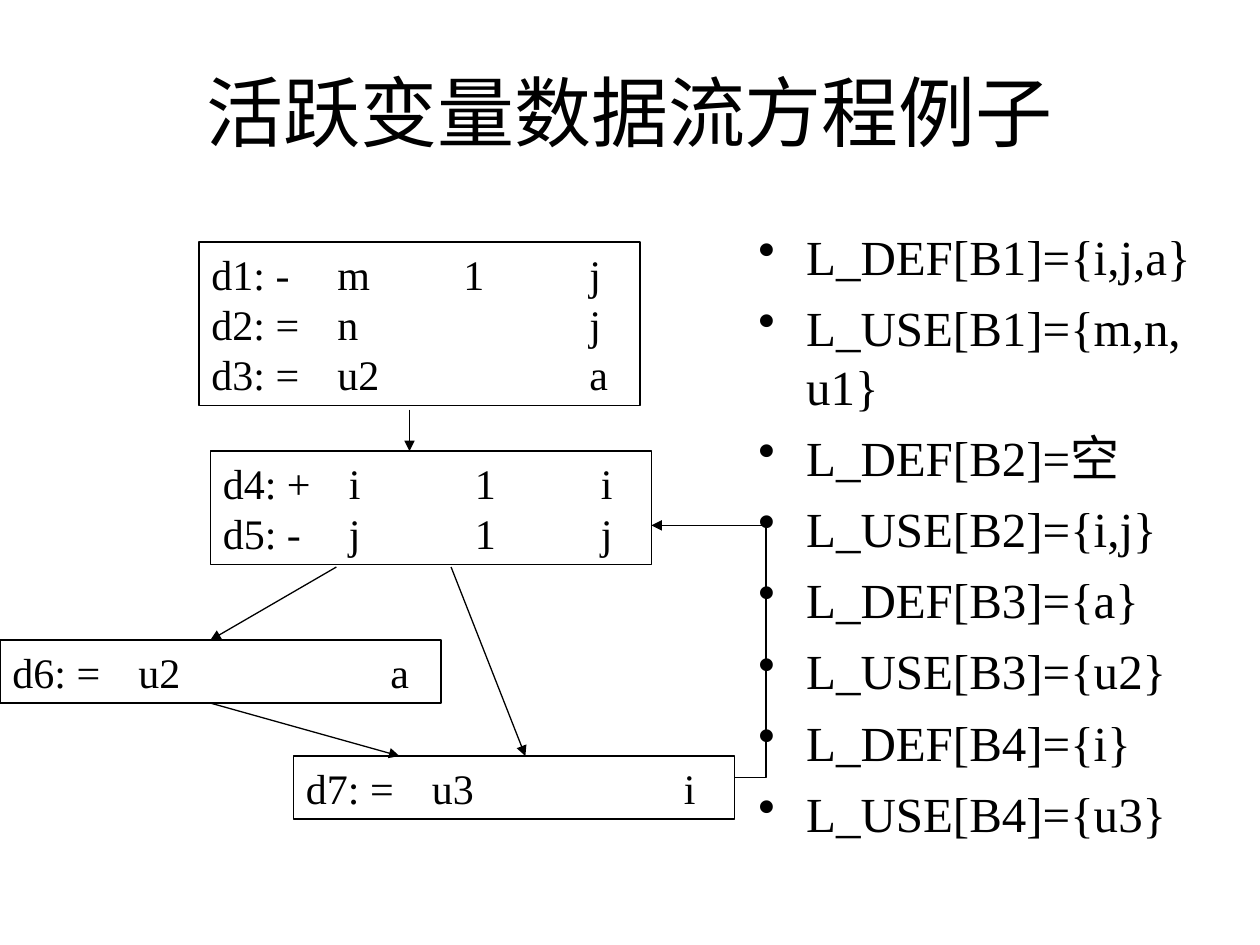
from collections import namedtuple
from dataclasses import dataclass

from lxml.etree import SubElement
from pptx import Presentation
from pptx.dml.color import RGBColor
from pptx.enum.shapes import MSO_CONNECTOR, MSO_SHAPE
from pptx.enum.text import MSO_ANCHOR, PP_ALIGN
from pptx.oxml.ns import qn
from pptx.util import Inches, Pt

Box = namedtuple("Box", "left top width height")


@dataclass(frozen=True)
class Theme:
    font: str = "Times New Roman"
    ink: RGBColor = RGBColor(0, 0, 0)
    title: Pt = Pt(44)
    bullet: Pt = Pt(28)
    code: Pt = Pt(24)
    gap: Pt = Pt(7)
    rule: Pt = Pt(0.75)


THEME = Theme()
TITLE = "活跃变量数据流方程例子"
BLOCKS = [
    (Box(1.58, 0, 3.5, 1.3), ["d1: -\tm\t1\tj", "d2: =\tn\t\tj", "d3: =\tu2\t\ta"]),
    (Box(1.67, 1.66, 3.5, 0.9), ["d4: +\ti\t1\ti", "d5: -\tj\t1\tj"]),
    (Box(0, 3.16, 3.5, 0.5), ["d6: =\tu2\t\ta"]),
    (Box(2.33, 4.08, 3.5, 0.5), ["d7: =\tu3\t\ti"]),
]
EDGES = [
    ((3.25, 1.33), (3.25, 1.66)),
    ((2.67, 2.58), (1.67, 3.16)),
    ((3.58, 2.58), (4.17, 4.08)),
    ((1.67, 3.66), (3.17, 4.08)),
]
LOOP_BACK = [(5.83, 4.25), (6.08, 4.25), (6.08, 2.25), (5.17, 2.25)]
SETS = [
    "L_DEF[B1]={i,j,a}",
    "L_USE[B1]={m,n, u1}",
    "L_DEF[B2]=空",
    "L_USE[B2]={i,j}",
    "L_DEF[B3]={a}",
    "L_USE[B3]={u2}",
    "L_DEF[B4]={i}",
    "L_USE[B4]={u3}",
]


def apply(target, formats):
    for name, value in formats.items():
        setattr(target, name, value)


def place(box):
    return [Inches(length) for length in box]


def add_bullet(paragraph):
    properties = paragraph._p.get_or_add_pPr()
    properties.set("marL", str(Inches(0.38)))
    properties.set("indent", str(-Inches(0.38)))
    SubElement(properties, qn("a:buChar"), char="•")


def add_tabs(paragraph):
    stops = SubElement(paragraph._p.get_or_add_pPr(), qn("a:tabLst"))
    for inch in range(1, 8):
        SubElement(stops, qn("a:tab"), pos=str(Inches(inch)), algn="l")


def write(frame, lines, size, anchor=MSO_ANCHOR.TOP, align=PP_ALIGN.LEFT, prepare=None, gap=Pt(0)):
    apply(frame, {"word_wrap": True, "vertical_anchor": anchor})
    for index, line in enumerate(lines):
        paragraph = frame.add_paragraph() if index else frame.paragraphs[0]
        if prepare:
            prepare(paragraph)
        apply(paragraph, {"alignment": align, "space_before": gap if index else Pt(0)})
        run = paragraph.add_run()
        run.text = line
        apply(run.font, {"name": THEME.font, "size": size})
        run.font.color.rgb = THEME.ink


def draw_line(shape, arrow=False):
    shape.line.color.rgb = THEME.ink
    shape.line.width = THEME.rule
    if arrow:
        SubElement(shape.line._get_or_add_ln(), qn("a:tailEnd"), type="triangle")


def add_title(slide, box):
    heading = slide.shapes.add_textbox(*place(box))
    write(heading.text_frame, [TITLE], THEME.title, MSO_ANCHOR.MIDDLE, PP_ALIGN.CENTER)


def add_sets(slide, box):
    sets = slide.shapes.add_textbox(*place(box))
    write(sets.text_frame, SETS, THEME.bullet, prepare=add_bullet, gap=THEME.gap)


def add_flow_graph(slide, box):
    def locate(point):
        return Inches(box.left + point[0]), Inches(box.top + point[1])

    for area, code in BLOCKS:
        block = slide.shapes.add_shape(
            MSO_SHAPE.RECTANGLE, *locate(area[:2]), *place(area[2:])
        )
        block.shadow.inherit = False
        block.fill.background()
        draw_line(block)
        write(block.text_frame, code, THEME.code, prepare=add_tabs)

    for start, end in EDGES:
        edge = slide.shapes.add_connector(MSO_CONNECTOR.STRAIGHT, *locate(start), *locate(end))
        draw_line(edge, arrow=True)
        SubElement(edge._element.spPr, qn("a:effectLst"))

    outline = slide.shapes.build_freeform(*locate(LOOP_BACK[0]))
    outline.add_line_segments([locate(point) for point in LOOP_BACK[1:]], close=False)
    loop_back = outline.convert_to_shape()
    loop_back.shadow.inherit = False
    loop_back.fill.background()
    draw_line(loop_back, arrow=True)


def main():
    deck = Presentation()
    apply(deck, {"slide_width": Inches(10), "slide_height": Inches(7.5)})
    slide = deck.slides.add_slide(deck.slide_layouts[6])
    add_title(slide, Box(0.75, 0.25, 8.5, 1.25))
    add_sets(slide, Box(5.92, 1.75, 3.75, 5.25))
    add_flow_graph(slide, Box(0, 1.92, 6.08, 4.58))
    deck.save("out.pptx")


if __name__ == "__main__":
    main()
